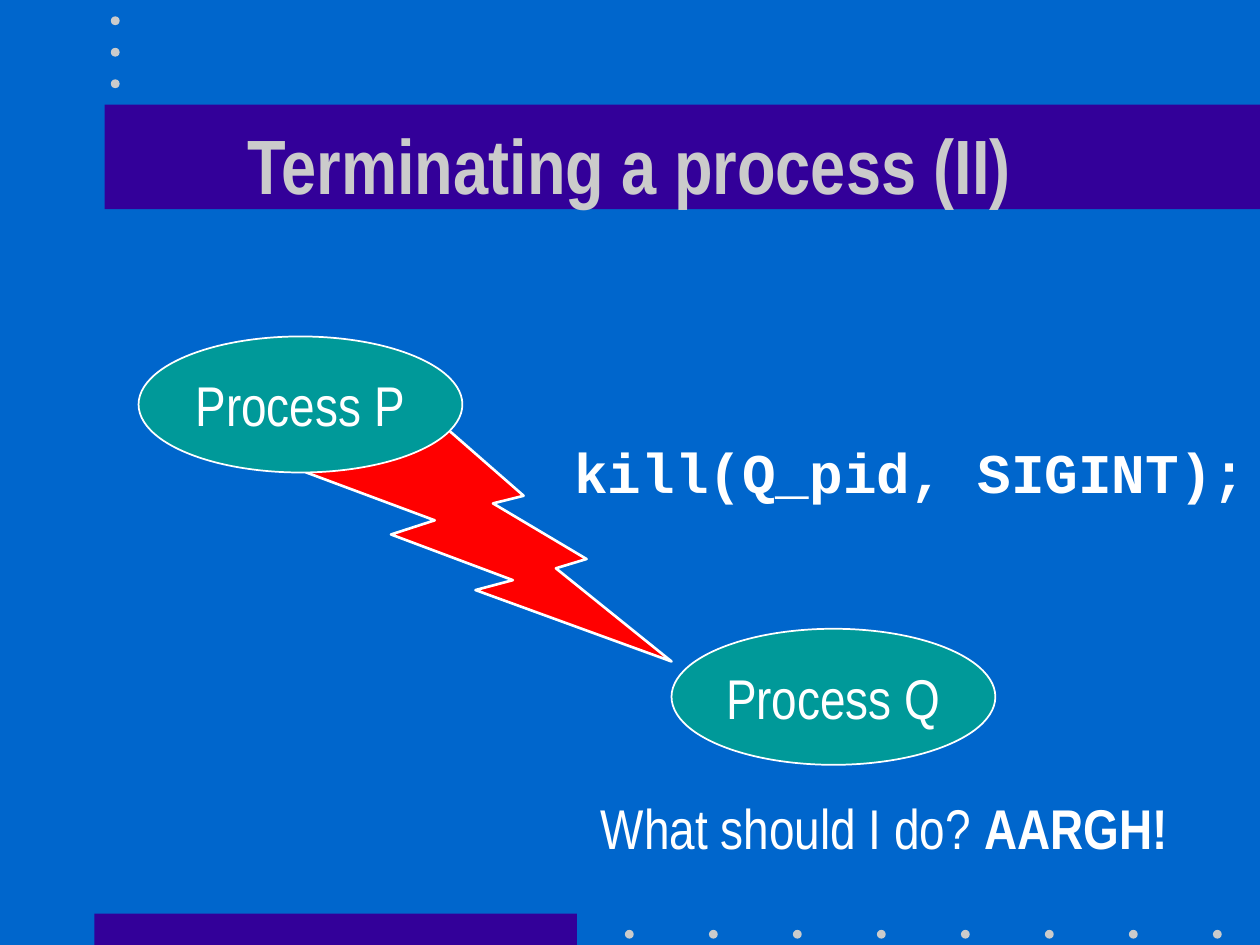
"""Build the slide "Terminating a process (II)"."""
from dataclasses import dataclass

from pptx import Presentation
from pptx.dml.color import RGBColor
from pptx.enum.shapes import MSO_SHAPE
from pptx.enum.text import MSO_ANCHOR, PP_ALIGN
from pptx.util import Inches, Pt


@dataclass(frozen=True)
class Theme:
    background: str = "0066CC"
    band: str = "330099"
    muted: str = "CBCBCB"
    process: str = "009999"
    signal: str = "FF0000"
    white: str = "FFFFFF"
    title_size: int = 44
    body_size: int = 32
    sans: str = "Arial Narrow"
    mono: str = "Courier New"


theme = Theme()
prs = Presentation()
prs.slide_width, prs.slide_height = Inches(10), Inches(7.5)
slide = prs.slides.add_slide(prs.slide_layouts[6])
slide.background.fill.solid()
slide.background.fill.fore_color.rgb = RGBColor.from_string(theme.background)


def add_figure(preset, box, fill, line_width=0):
    figure = slide.shapes.add_shape(preset, *map(Inches, box))
    figure.shadow.inherit = False
    figure.fill.solid()
    figure.fill.fore_color.rgb = RGBColor.from_string(fill)
    if line_width:
        figure.line.color.rgb = RGBColor.from_string(theme.white)
        figure.line.width = Pt(line_width)
    else:
        figure.line.fill.background()
    return figure


def write(holder, runs, font=theme.sans, size=theme.body_size, color=theme.white,
          align=PP_ALIGN.LEFT, anchor=MSO_ANCHOR.TOP, wrap=False):
    frame = holder.text_frame
    frame.word_wrap = wrap
    frame.vertical_anchor = anchor
    paragraph = frame.paragraphs[0]
    paragraph.alignment = align
    paragraph.font.name = font
    paragraph.font.size = Pt(size)
    paragraph.font.color.rgb = RGBColor.from_string(color)
    for text, bold in runs:
        run = paragraph.add_run()
        run.text = text
        run.font.bold = bold


for band in [(0.75, 7.25, 3.83, 0.25), (0.83, 0.83, 9.17, 0.83)]:
    add_figure(MSO_SHAPE.RECTANGLE, band, theme.band)

bottom_dots = [(4.96 + i * 2 / 3, 7.38) for i in range(8)]
top_dots = [(0.88, 0.13 + i * 0.25) for i in range(3)]
for left, top in bottom_dots + top_dots:
    add_figure(MSO_SHAPE.OVAL, (left, top, 0.07, 0.07), theme.muted)

add_figure(MSO_SHAPE.LIGHTNING_BOLT, (2.43, 3.42, 2.9, 1.83), theme.signal, 1.5)

title = slide.shapes.add_textbox(Inches(0.75), Inches(0.67), Inches(8.5), Inches(1.25))
write(title, [("Terminating a process (II)", True)], size=theme.title_size,
      color=theme.muted, align=PP_ALIGN.CENTER, anchor=MSO_ANCHOR.MIDDLE, wrap=True)

for name, left, top in [("Process P", 1.1, 2.67), ("Process Q", 5.33, 4.99)]:
    process = add_figure(MSO_SHAPE.OVAL, (left, top, 2.57, 1.08), theme.process, 1)
    write(process, [(name, False)], align=PP_ALIGN.CENTER, anchor=MSO_ANCHOR.MIDDLE)

kill_call = slide.shapes.add_textbox(Inches(4.46), Inches(3.42), Inches(5.54), Inches(0.64))
write(kill_call, [("kill(Q_pid, SIGINT);", True)], font=theme.mono)

reaction = slide.shapes.add_textbox(Inches(4.67), Inches(6.25), Inches(4.7), Inches(0.64))
write(reaction, [("What should I do? ", False), ("AARGH!", True)])

prs.save("out.pptx")
